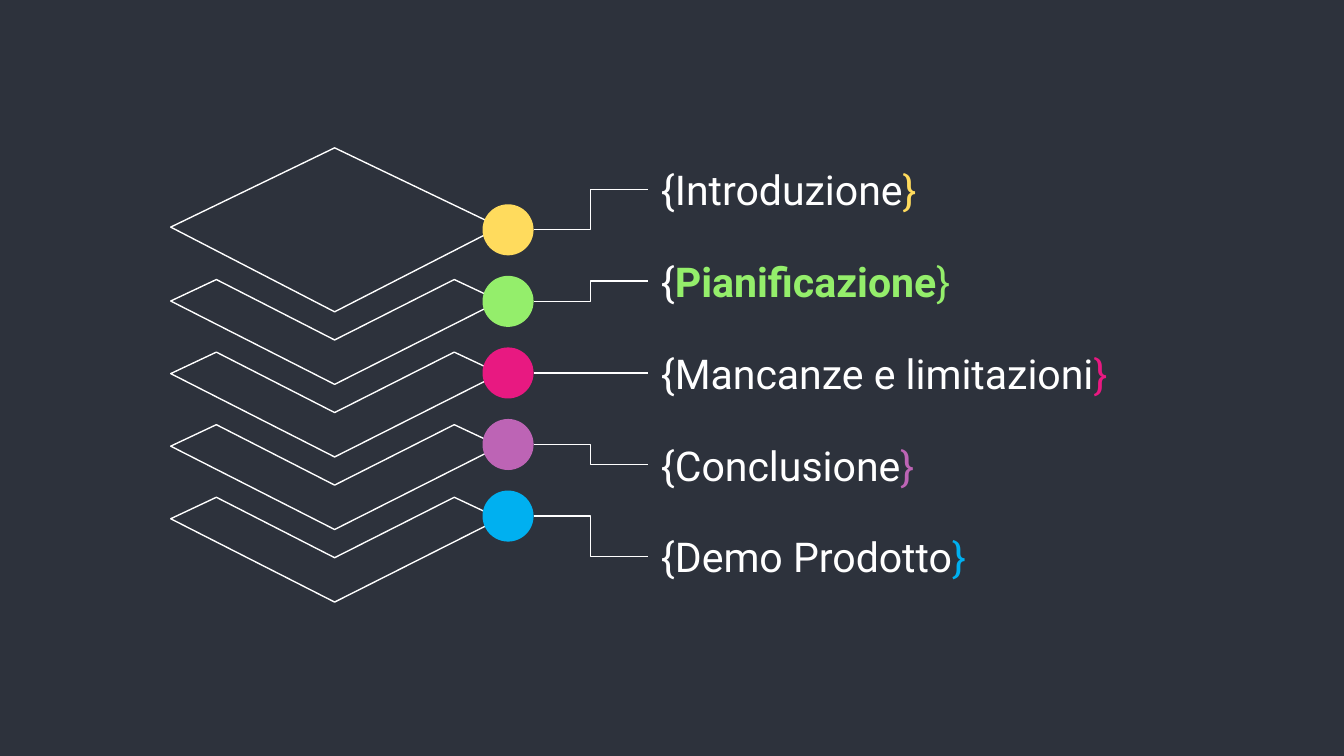
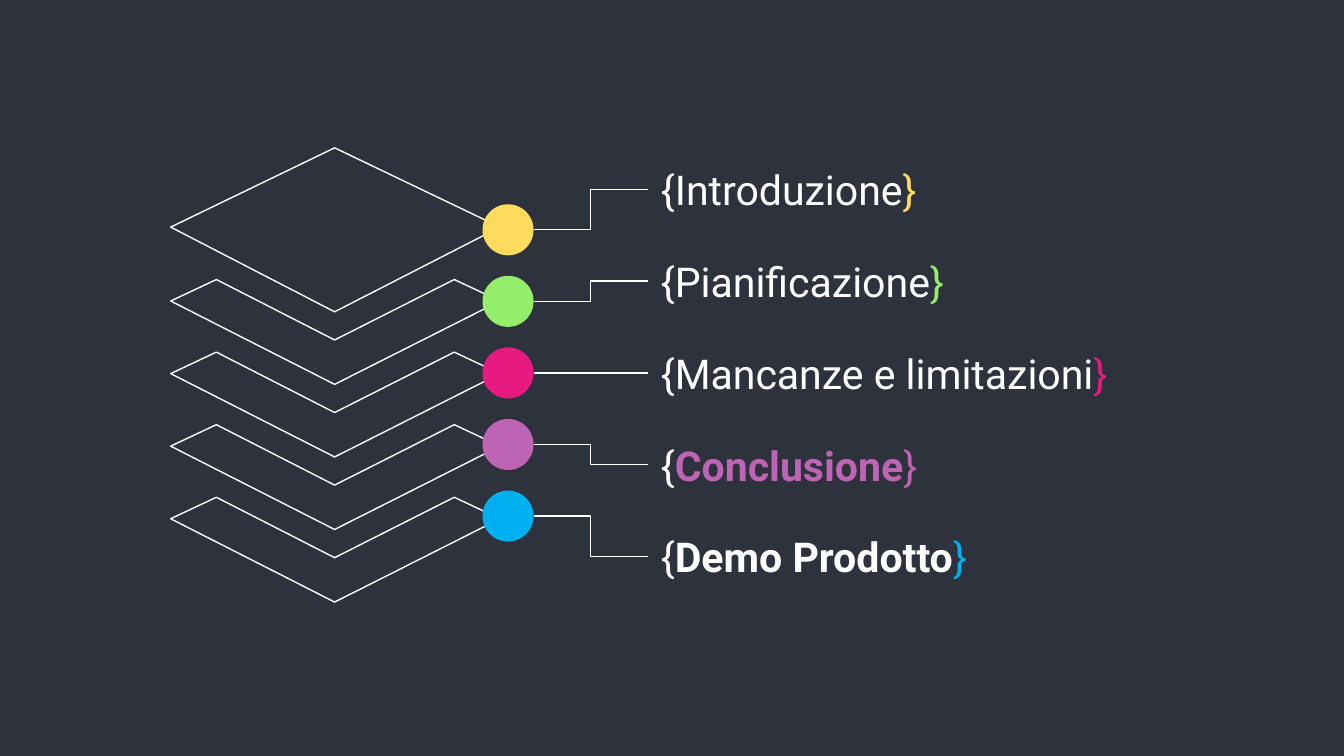
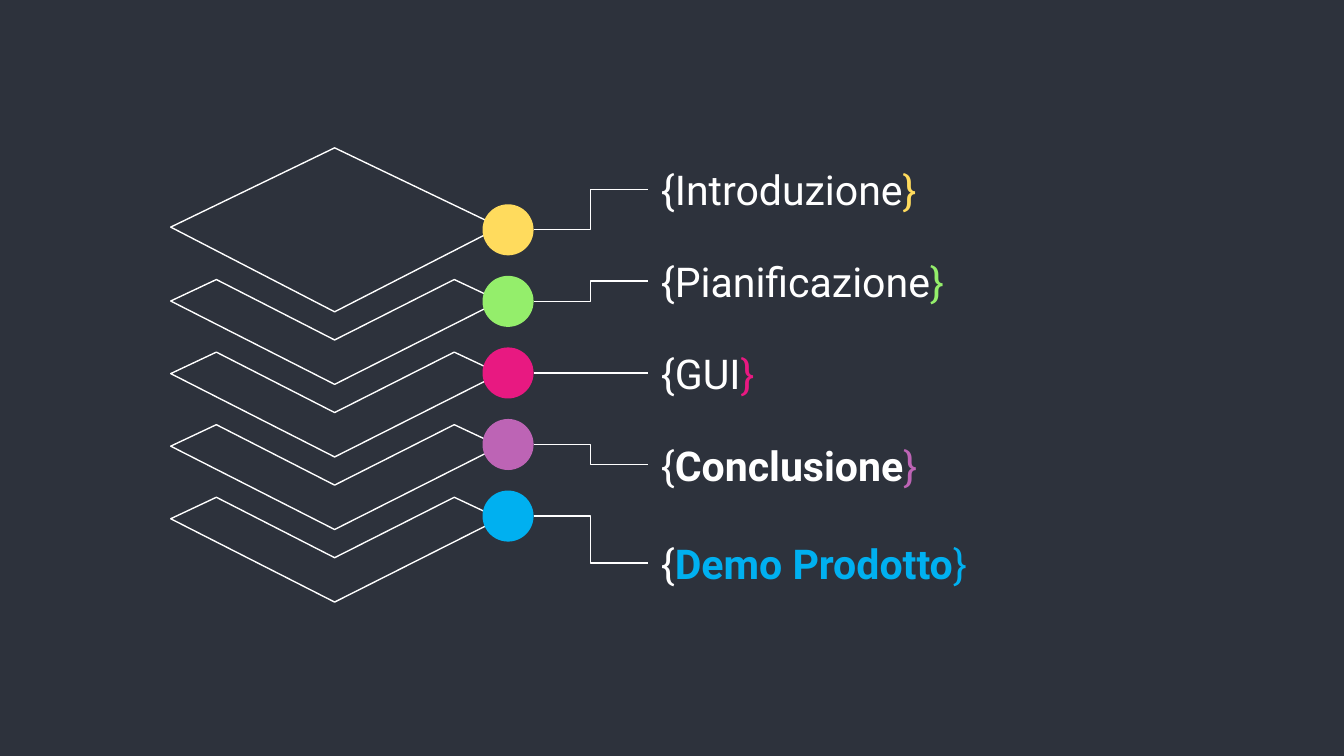
from lxml import etree
from pptx import Presentation
from pptx.dml.color import RGBColor
from pptx.enum import shapes, text
from pptx.oxml.ns import qn
from pptx.util import Inches, Pt

BACKGROUND = "2D323C"
WHITE = "FFFFFF"
TOPIC_COLOURS = ["FFDB5D", "94EE6B", "E81981", "BD64B5", "00B0F0"]
FONT = "Roboto"

LABEL_LEFT, LABEL_HEIGHT = 4.82, 0.5
FIRST_LABEL_TOP, LAST_LABEL_TOP = 1.16, 3.89
DOT_LEFT, DOT_SIZE = 3.59, 0.38
FIRST_DOT_TOP, LAST_DOT_TOP = 1.52, 3.65

DIAMOND = [(2.49, 1.1), (1.27, 1.69), (2.49, 2.32), (3.72, 1.69)]
CHEVRON = [(1.61, 2.08), (1.27, 2.24), (2.49, 2.86), (3.72, 2.24), (3.38, 2.08), (2.49, 2.53)]
CHEVRON_STEP = 0.54
LAYERS = [DIAMOND] + [
    [(x, y + step * CHEVRON_STEP) for x, y in CHEVRON] for step in range(4)
]

# Third topic and its width, coloured topic, bold topics, drop of the last label
AGENDAS = [
    ("Mancanze e limitazioni", 3.94, 1, {1}, 0),
    ("Mancanze e limitazioni", 4.06, 3, {3, 4}, 0),
    ("GUI", 4.06, 4, {3, 4}, 0.05),
]


def colour(value):
    return RGBColor.from_string(value)


def outline(shape):
    shape.line.color.rgb = colour(WHITE)
    shape.line.width = Pt(0.75)


presentation = Presentation()
presentation.slide_width = Inches(10)
presentation.slide_height = Inches(10) * 9 // 16
master_fill = presentation.slide_master.background.fill
master_fill.solid()
master_fill.fore_color.rgb = colour(BACKGROUND)

for third_topic, third_width, coloured, bold, last_drop in AGENDAS:
    slide = presentation.slides.add_slide(presentation.slide_layouts[6])
    topics = ["Introduzione", "Pianificazione", third_topic, "Conclusione", "Demo Prodotto"]
    widths = [3.56, 4.27, third_width, 2.87, 2.87]

    stack = slide.shapes.add_group_shape()
    for points in LAYERS:
        corners = [(Inches(x), Inches(y)) for x, y in points]
        builder = stack.shapes.build_freeform(*corners[0])
        builder.add_line_segments(corners[1:], close=True)
        layer = builder.convert_to_shape()
        layer.shadow.inherit = False
        layer.fill.background()
        outline(layer)

    for index, (topic, width, topic_colour) in enumerate(zip(topics, widths, TOPIC_COLOURS)):
        share = index / (len(topics) - 1)
        label_top = FIRST_LABEL_TOP + share * (LAST_LABEL_TOP - FIRST_LABEL_TOP)
        if index == len(topics) - 1:
            label_top += last_drop
        dot_top = FIRST_DOT_TOP + share * (LAST_DOT_TOP - FIRST_DOT_TOP)

        label = slide.shapes.add_textbox(
            Inches(LABEL_LEFT), Inches(label_top), Inches(width), Inches(LABEL_HEIGHT)
        )
        frame = label.text_frame
        frame.word_wrap = True
        frame.vertical_anchor = text.MSO_ANCHOR.MIDDLE
        frame.margin_left = frame.margin_right = Inches(0.1)
        frame.margin_top = frame.margin_bottom = Inches(0.1)
        topic_shade = topic_colour if index == coloured else WHITE
        pieces = [
            ("{", WHITE, False),
            (topic, topic_shade, index in bold),
            ("}", topic_colour, False),
        ]
        for piece, shade, is_bold in pieces:
            run = frame.paragraphs[0].add_run()
            run.text = piece
            run.font.name = FONT
            run.font.size = Pt(22)
            run.font.bold = is_bold
            run.font.color.rgb = colour(shade)

        connector = slide.shapes.add_connector(
            shapes.MSO_CONNECTOR.ELBOW,
            Inches(DOT_LEFT + DOT_SIZE), Inches(dot_top + DOT_SIZE / 2),
            Inches(LABEL_LEFT), Inches(label_top + LABEL_HEIGHT / 2),
        )
        outline(connector)
        etree.SubElement(connector._element.spPr, qn("a:effectLst"))

        dot = slide.shapes.add_shape(
            shapes.MSO_SHAPE.OVAL,
            Inches(DOT_LEFT), Inches(dot_top), Inches(DOT_SIZE), Inches(DOT_SIZE),
        )
        dot.shadow.inherit = False
        dot.fill.solid()
        dot.fill.fore_color.rgb = colour(topic_colour)
        dot.line.fill.background()

presentation.save("out.pptx")
